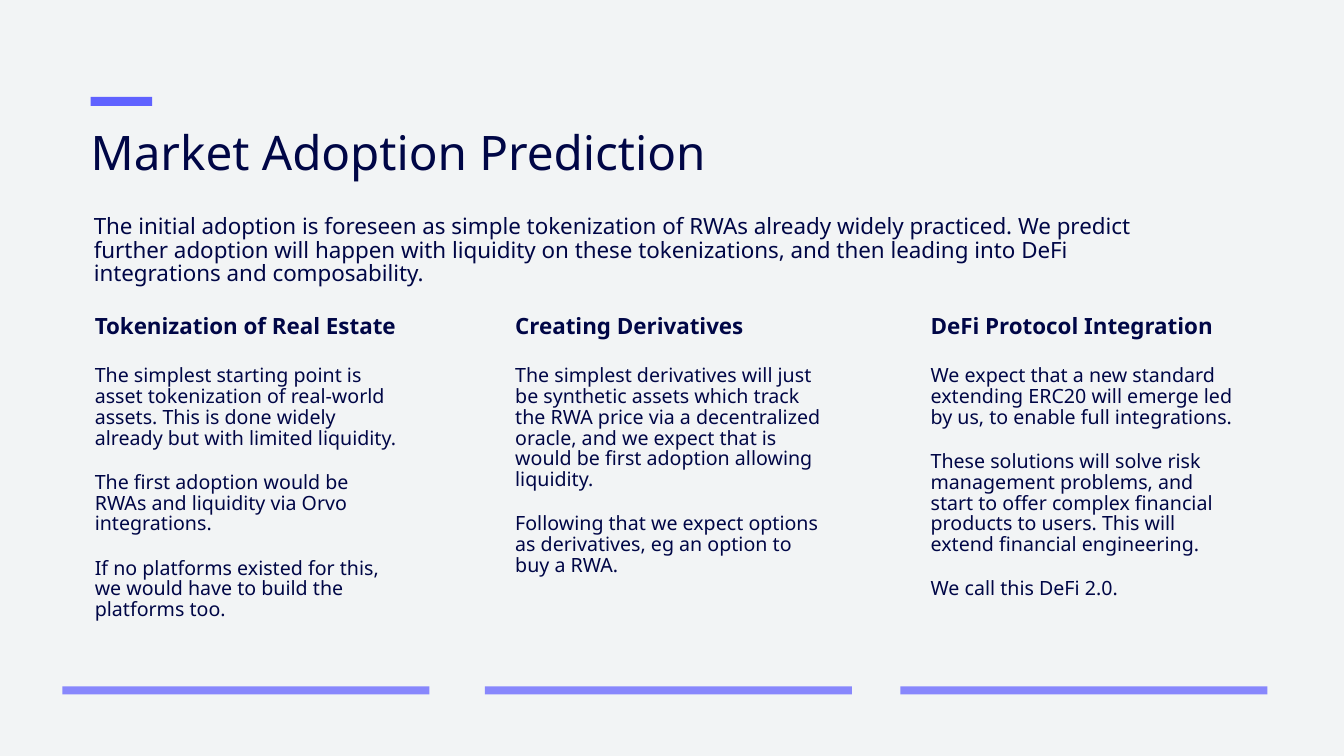
import pptx
import pptx.util
import pptx.dml.color
import pptx.enum.shapes
import pptx.enum.text
import pptx.oxml

Inches, Pt = pptx.util.Inches, pptx.util.Pt
RGB = pptx.dml.color.RGBColor.from_string
ANCHOR = pptx.enum.text.MSO_ANCHOR

# Content
TITLE = "Market Adoption Prediction"
INTRO = ("The initial adoption is foreseen as simple tokenization of RWAs already "
         "widely practiced. We predict further adoption will happen with liquidity on "
         "these tokenizations, and then leading into DeFi integrations and composability.")
# Each column: bar left, text left, heading, paragraphs
COLUMNS = [
    (0.62, 0.94, "Tokenization of Real Estate", [
        "The simplest starting point is asset tokenization of real-world assets. "
        "This is done widely already but with limited liquidity.",
        "The first adoption would be RWAs and liquidity via Orvo integrations.",
        "If no platforms existed for this, we would have to build the platforms too."]),
    (4.81, 5.11, "Creating Derivatives", [
        "The simplest derivatives will just be synthetic assets which track the RWA "
        "price via a decentralized oracle, and we expect that is would be first "
        "adoption allowing liquidity.",
        "Following that we expect options as derivatives, eg an option to buy a RWA."]),
    (8.93, 9.23, "DeFi Protocol Integration", [
        "We expect that a new standard extending ERC20 will emerge led by us, "
        "to enable full integrations.",
        "These solutions will solve risk management problems, and start to offer "
        "complex financial products to users. This will extend financial engineering.",
        "We call this DeFi 2.0."]),
]

# Formats
COLORS = {"back": "F2F4F5", "text": "000646", "bar": "8887FC", "accent": "6062FF"}
FRAME = {"margin_left": 0, "margin_top": 0, "margin_right": 0, "margin_bottom": 0,
         "word_wrap": True, "auto_size": pptx.enum.text.MSO_AUTO_SIZE.NONE}
PARA = {"alignment": pptx.enum.text.PP_ALIGN.LEFT, "space_after": Pt(0)}
TITLE_FONT = {"name": "Noto Sans", "size": Pt(34), "bold": False}
INTRO_FONT = {**TITLE_FONT, "size": Pt(16)}
HEAD_FONT = {**INTRO_FONT, "bold": True}
BODY_FONT = {**TITLE_FONT, "size": Pt(14)}
TIGHT = 0.88
HEAD_GAP, BODY_GAP = 19.5, 16.8


def assign(item, values):
    for name, value in values.items():
        setattr(item, name, value)


def place(shape, box):
    names = ("left", "top", "width", "height")
    assign(shape, dict(zip(names, map(Inches, box))))


def write(shape, lines, anchor=ANCHOR.TOP, pitch=TIGHT):
    """Fill a shape with (text, font values, points before) lines."""
    frame = shape.text_frame
    assign(frame, {**FRAME, "vertical_anchor": anchor})
    for i, (text, font, gap) in enumerate(lines):
        para = frame.paragraphs[0] if i == 0 else frame.add_paragraph()
        para.text = text
        assign(para, {**PARA, "line_spacing": pitch, "space_before": Pt(gap)})
        assign(para.runs[0].font, font)
        para.runs[0].font.color.rgb = RGB(COLORS["text"])


def bar(box, color):
    shape = slide.shapes.add_shape(pptx.enum.shapes.MSO_SHAPE.RECTANGLE,
                                   *map(Inches, box))
    shape.shadow.inherit = False
    shape.fill.solid()
    shape.fill.fore_color.rgb = RGB(COLORS[color])
    shape.line.fill.background()


# Slide
deck = pptx.Presentation()
deck.slide_width, deck.slide_height = Inches(13.33), Inches(7.5)
slide = deck.slides.add_slide(deck.slide_layouts[1])
slide.background.fill.solid()
slide.background.fill.fore_color.rgb = RGB(COLORS["back"])

# Title and intro
bar((0.9, 0.96, 0.61, 0.09), "accent")
title, intro = slide.placeholders
place(title, (0.9, 1.2, 7.28, 0.6))
write(title, [(TITLE, TITLE_FONT, 0)], ANCHOR.MIDDLE, 1.0)
place(intro, (0.93, 2.14, 10.5, 1.18))
props = intro.text_frame.paragraphs[0]._p.get_or_add_pPr()
props.set("marL", "0")
props.set("indent", "0")
pptx.oxml.parse_xml('<a:buNone xmlns:a='
                    '"http://schemas.openxmlformats.org/drawingml/2006/main"/>')
props.append(pptx.oxml.parse_xml(
    '<a:buNone xmlns:a="http://schemas.openxmlformats.org/drawingml/2006/main"/>'))
write(intro, [(INTRO, INTRO_FONT, 0)])

# Columns
for edge, left, head, texts in COLUMNS:
    bar((edge, 6.81, 3.64, 0.08), "bar")
    column = slide.shapes.add_textbox(*map(Inches, (left, 3.13, 3.08, 3.6)))
    lines = [(head, HEAD_FONT, 0)]
    lines += [(text, BODY_FONT, BODY_GAP if i else HEAD_GAP)
              for i, text in enumerate(texts)]
    write(column, lines)

deck.save("out.pptx")
